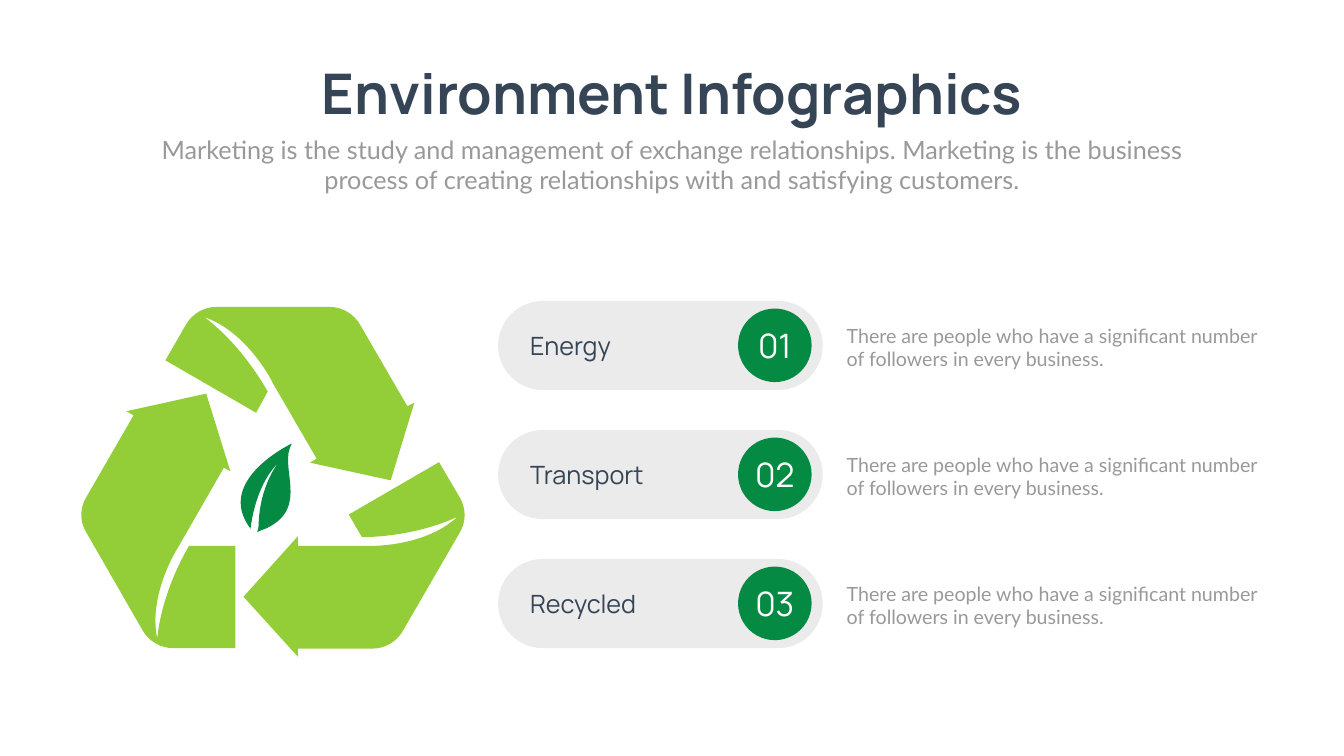
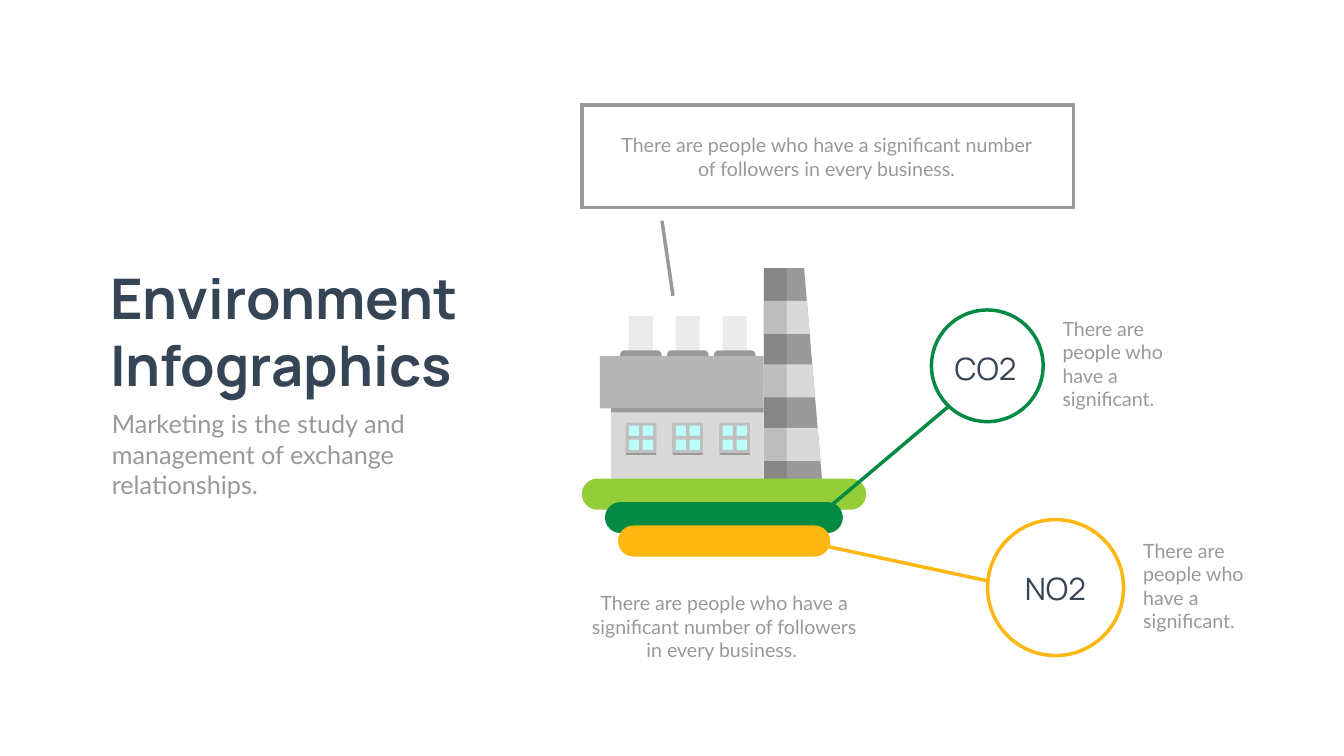
from lxml.etree import SubElement
from pptx import Presentation
from pptx.dml.color import RGBColor
from pptx.enum.shapes import MSO_CONNECTOR, MSO_SHAPE as Preset
from pptx.enum.text import MSO_ANCHOR as Anchor, PP_ALIGN as Align
from pptx.oxml.ns import qn
from pptx.util import Pt

NAVY = RGBColor(0x36, 0x45, 0x56)
GREY = RGBColor(0x99, 0x99, 0x99)
WHITE = RGBColor(0xFF, 0xFF, 0xFF)
LIME = RGBColor(0x93, 0xCE, 0x39)
GREEN = RGBColor(0x05, 0x8A, 0x43)
AMBER = RGBColor(0xFE, 0xB6, 0x11)
PALE = RGBColor(0xEB, 0xEB, 0xEB)
WALL = RGBColor(0xD9, 0xD9, 0xD9)
ROOF = RGBColor(0xB5, 0xB5, 0xB5)
FRAME = RGBColor(0xBF, 0xBF, 0xBF)
GLASS = RGBColor(0xBB, 0xFF, 0xFB)
SHADE = RGBColor(0x23, 0x1F, 0x20)

HEADING_FONT, BODY_FONT = "Manrope", "Lato"
TITLE = "Environment Infographics"
FOLLOWERS = ("There are people who have a significant number "
             "of followers in every business.")
SIGNIFICANT = "There are people who have a significant."

# Outlines: a pair is a corner, six numbers are a Bézier curve.
RECYCLE_ARROWS = [
    [(656.6, 710.6), (627.1, 660.2), (498.2, 735.1), (517, 767.5),
     (594, 766.1, 645.1, 742.3, 653.8, 738),
     (604.8, 783.4, 524.2, 779.8, 524.2, 779.8),
     (425.5, 779.8), (425.5, 766.1), (347.8, 852.5), (425.5, 938.2),
     (425.5, 926.6), (532.1, 926.6),
     (550.1, 926.6, 566.6, 916.6, 575.3, 901.4), (656.6, 761),
     (666, 745.2, 666, 726.5, 656.6, 710.6)],
    [(382.3, 559.4), (344.2, 492.5, 299.5, 458.6, 291.6, 452.9),
     (354.2, 474.5, 389.5, 546.5, 389.5, 547.2),
     (452.2, 655.2), (442.8, 661), (558, 686.2), (591.8, 575.3),
     (581.8, 580.3), (514.1, 463.7),
     (505.4, 448.6, 488.9, 438.5, 470.9, 438.5), (308.9, 438.5),
     (290.9, 438.5, 274.3, 448.6, 265.7, 463.7),
     (236.2, 514.8), (365.8, 589.7)],
    [(270, 779.8), (231.1, 846.7, 225.4, 902.9, 224.6, 912.2),
     (211, 847.4, 255.6, 779.8, 255.6, 779.8),
     (319.7, 668.2), (329, 673.2), (294.5, 562.3), (180.4, 587.5),
     (190.8, 593.3), (123.1, 710.6),
     (113.8, 725.8, 113.8, 745.2, 123.1, 760.3), (203.8, 900.7),
     (213.1, 916.6, 229.7, 925.9, 247.7, 925.9),
     (336.2, 925.9), (336.2, 779.8)],
]
LEAF = [
    (416.9, 633.6), (416.9, 633.6, 305.3, 686.2, 357.8, 755.3),
    (360.7, 733, 369.4, 689, 398.2, 660.2),
    (398.2, 660.2, 370.8, 692.6, 369.4, 750.2),
    (369.4, 753.8, 368.6, 757.4, 367.2, 760.3),
    (370.8, 758.2, 377.3, 756, 380.9, 754.6),
    (443.5, 724.3, 396.7, 666.7, 416.9, 633.6),
]


def write(shape, text, *, size=28, font=BODY_FONT, color=GREY, bold=False,
          align=Align.LEFT, anchor=Anchor.TOP, wrap=True):
    frame = shape.text_frame
    frame.word_wrap = wrap
    frame.vertical_anchor = anchor
    paragraph = frame.paragraphs[0]
    paragraph.alignment = align
    run = paragraph.add_run()
    run.text = text
    run.font.size = Pt(size)
    run.font.name = font
    run.font.bold = bold
    run.font.color.rgb = color


def add_text(slide, text, left, top, width, height, **text_format):
    box = slide.shapes.add_textbox(Pt(left), Pt(top), Pt(width), Pt(height))
    write(box, text, **text_format)


def add_heading(slide, text, *box, **text_format):
    add_text(slide, text, *box, size=80, font=HEADING_FONT, color=NAVY,
             bold=True, **text_format)


def paint(shape, fill=None, line=None):
    shape.shadow.inherit = False
    if fill is None:
        shape.fill.background()
    else:
        shape.fill.solid()
        shape.fill.fore_color.rgb = fill
    if line is None:
        shape.line.fill.background()
    else:
        shape.line.color.rgb = line
        shape.line.width = Pt(5)
        SubElement(shape.line._get_or_add_ln(), qn("a:miter"), lim="800000")
    return shape


def add_preset(slide, preset, left, top, width, height, fill=None, line=None):
    shape = slide.shapes.add_shape(preset, Pt(left), Pt(top), Pt(width), Pt(height))
    return paint(shape, fill, line)


def add_block(slide, *box, **colors):
    return add_preset(slide, Preset.RECTANGLE, *box, **colors)


def add_pill(slide, *box, **colors):
    pill = add_preset(slide, Preset.ROUNDED_RECTANGLE, *box, **colors)
    pill.adjustments[0] = 0.5


def trace(outline, steps=16):
    """List points along the outline, to find how far its curves reach."""
    points = [outline[0]]
    for segment in outline[1:]:
        if len(segment) == 2:
            points.append(segment)
            continue
        x0, y0 = points[-1]
        x1, y1, x2, y2, x3, y3 = segment
        for step in range(1, steps + 1):
            t = step / steps
            a, b, c, d = (1 - t) ** 3, 3 * t * (1 - t) ** 2, 3 * t * t * (1 - t), t ** 3
            points.append((a * x0 + b * x1 + c * x2 + d * x3,
                           a * y0 + b * y1 + c * y2 + d * y3))
    return points


def add_outline(slide, outline, fill):
    """Size a freeform by its traced points, then give it true curves."""
    points = [(Pt(x), Pt(y)) for x, y in trace(outline)]
    builder = slide.shapes.build_freeform(*points[0], scale=1.0)
    builder.add_line_segments(points[1:], close=True)
    shape = paint(builder.convert_to_shape(), fill)
    drawing = next(shape._element.iter(qn("a:path")))
    for command in list(drawing):
        drawing.remove(command)
    for index, segment in enumerate(outline):
        kind = "cubicBezTo" if len(segment) == 6 else "lnTo" if index else "moveTo"
        command = SubElement(drawing, qn(f"a:{kind}"))
        for x, y in zip(segment[::2], segment[1::2]):
            SubElement(command, qn("a:pt"), x=str(Pt(x) - shape.left),
                       y=str(Pt(y) - shape.top))
    SubElement(drawing, qn("a:close"))


def add_line(slide, x1, y1, x2, y2, color):
    line = slide.shapes.add_connector(
        MSO_CONNECTOR.STRAIGHT, Pt(x1), Pt(y1), Pt(x2), Pt(y2))
    line.line.color.rgb = color
    line.line.width = Pt(5)
    SubElement(line._element.spPr, qn("a:effectLst"))


def add_topic(slide, number, topic, middle):
    """A pill with its topic and number, and a description to its right."""
    add_pill(slide, 711.4, middle - 63.7, 463.7, 127.4, fill=PALE)
    badge = add_preset(slide, Preset.OVAL, 1054.1, middle - 52.8, 105.1, 105.1,
                       fill=GREEN)
    write(badge, f"{number:02}", size=48, font=HEADING_FONT, color=WHITE,
          align=Align.CENTER, anchor=Anchor.MIDDLE)
    add_text(slide, topic, 750, middle - 25.6, 257.8, 51.1,
             size=36, font=HEADING_FONT, color=NAVY)
    add_text(slide, FOLLOWERS, 1202.2, middle - 34.6, 618.5, 74.9)


def add_tower(slide):
    left, top, bottom = 1090.8, 383, 687.6

    def right(y):
        return 1148.4 + 0.085 * (y - top)

    def add_band(upper, lower, fill):
        add_outline(slide, [(left, upper), (right(upper), upper),
                            (right(lower), lower), (left, lower)], fill)

    add_band(top, bottom, GREY)
    for band in range(3):
        upper = 429.8 + 90.7 * band
        add_band(upper, upper + 47.3, WALL)
    shade = add_block(slide, left, top, 32.8, bottom - top, fill=SHADE)
    shade_color = shade.fill._xPr.find(qn("a:solidFill"))[0]
    SubElement(shade_color, qn("a:alpha"), val="15000")


def add_window(slide, left):
    add_block(slide, left, 607, 43.2, 42.8, fill=GREY)
    add_block(slide, left, 603.7, 43.2, 43.2, fill=FRAME)
    add_block(slide, left + 4.3, 608, 34.6, 34.6, fill=GLASS)
    add_block(slide, left + 19, 605.8, 5.2, 39.6, fill=FRAME)
    add_block(slide, left + 2, 622.8, 39.6, 5.2, fill=FRAME)


def add_factory(slide):
    bays = [67 * bay for bay in range(3)]
    for offset in bays:
        add_block(slide, 898 + offset, 451.4, 34.4, 50.4, fill=PALE)
    add_tower(slide)
    for offset in bays:
        add_pill(slide, 885.6 + offset, 500.4, 59.4, 13, fill=GREY)
    add_block(slide, 872.8, 547.2, 217.8, 143.3, fill=WALL)
    for left, top, width, color in [(831, 683.8, 406.1, LIME),
                                    (864, 717.2, 339.8, GREEN),
                                    (882.6, 750.7, 303.1, AMBER)]:
        add_pill(slide, left, top, width, 44.4, fill=color)
    add_block(slide, 856.8, 508.8, 234, 74.6, fill=ROOF)
    add_block(slide, 872.8, 583.2, 217.8, 5.8, fill=GREY)
    for offset in bays:
        add_window(slide, 893.8 + offset)


def add_gas(slide, gas, left, top, diameter, color, label, note_left, note_top):
    """A ringed gas name, with label as the box of the name, and its note."""
    add_preset(slide, Preset.OVAL, left, top, diameter, diameter, line=color)
    add_text(slide, gas, *label, size=44, font=HEADING_FONT, color=NAVY,
             align=Align.CENTER)
    add_text(slide, SIGNIFICANT, note_left, note_top, 193.7, 143.3)


def build_recycling(slide):
    add_heading(slide, TITLE, 410.4, 80.6, 1099.4, 104.4,
                align=Align.CENTER, wrap=False)
    add_text(slide, "Marketing is the study and management of exchange relationships. "
             "Marketing is the business process of creating relationships with "
             "and satisfying customers.",
             210.2, 187.9, 1499, 94.3, size=36, align=Align.CENTER)
    for arrow in RECYCLE_ARROWS:
        add_outline(slide, arrow, LIME)
    add_outline(slide, LEAF, GREEN)
    for row, topic in enumerate(["Energy", "Transport", "Recycled"]):
        add_topic(slide, row + 1, topic, 493.6 + 184.3 * row)


def build_emissions(slide):
    add_heading(slide, TITLE, 150.1, 373, 604.8, 200.9)
    add_text(slide, "Marketing is the study and management of exchange relationships.",
             152.6, 580.3, 549.4, 138.2, size=36)
    add_factory(slide)
    add_line(slide, 961.2, 422.6, 945.4, 315.4, GREY)
    add_line(slide, 1412.6, 830.2, 1164.2, 776.9, AMBER)
    add_line(slide, 1183.7, 725, 1354.3, 581, GREEN)
    add_block(slide, 830.9, 149.8, 702, 146.9, line=GREY)
    add_text(slide, FOLLOWERS + " ", 833, 841, 402.5, 108.7, align=Align.CENTER)
    add_text(slide, FOLLOWERS, 871.2, 186.5, 618.5, 74.9, align=Align.CENTER)
    add_gas(slide, "CO2", 1330.3, 442.8, 159.5, GREEN,
            (1326.2, 495.4, 162.7, 60.5), 1510.4, 448.6)
    add_gas(slide, "NO2", 1410.5, 742.3, 194.2, AMBER,
            (1410.5, 810.7, 193.7, 60.5), 1625.6, 765.7)


def main():
    deck = Presentation()
    deck.slide_width, deck.slide_height = Pt(1919.52), Pt(1080)
    for build in (build_recycling, build_emissions):
        build(deck.slides.add_slide(deck.slide_layouts[6]))
    deck.save("out.pptx")


if __name__ == "__main__":
    main()
